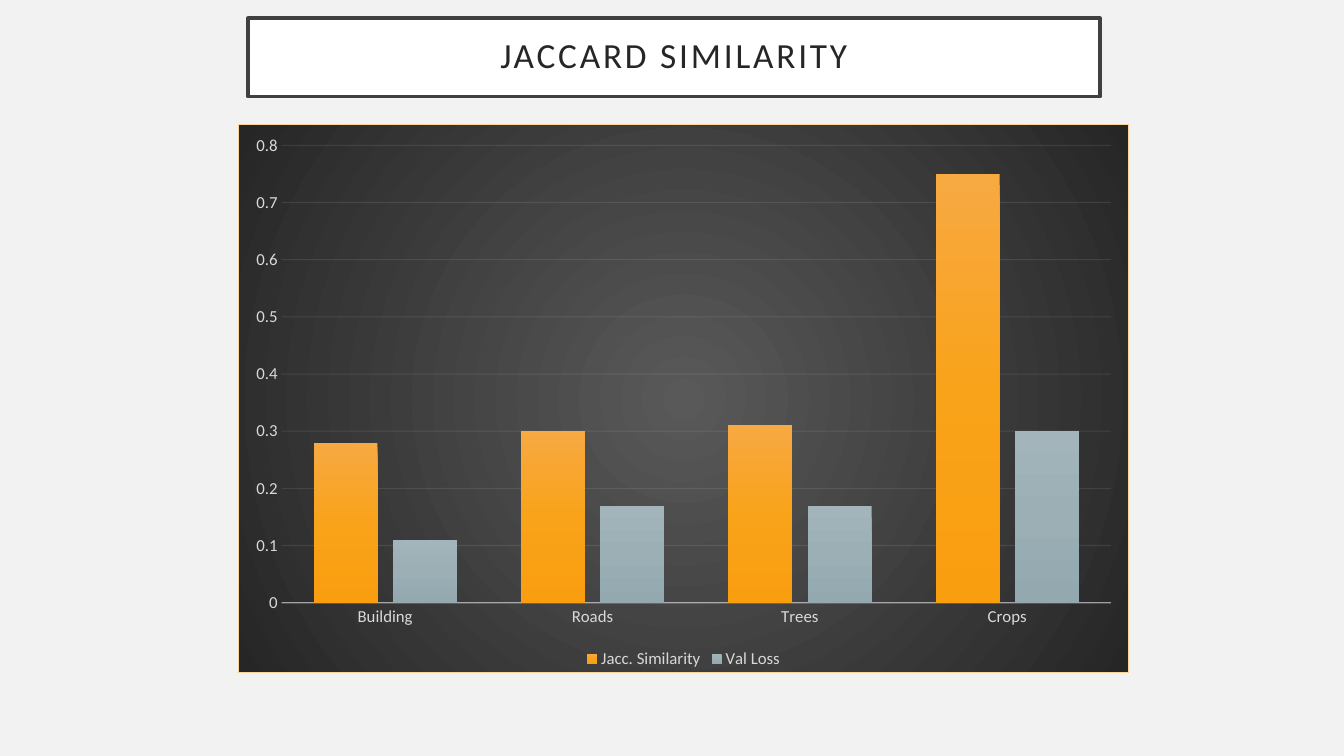
import lxml.etree
import pptx
import pptx.chart.data
import pptx.dml.color
import pptx.enum.chart
import pptx.enum.shapes
import pptx.enum.text
import pptx.oxml
import pptx.oxml.ns
import pptx.util
from pptx.util import Inches


def rgb(value):
    return pptx.dml.color.RGBColor.from_string(value)


def gradient(stops, direction):
    colors = "".join(
        f'<a:gs pos="{place * 1000}"><a:srgbClr val="{color}"/></a:gs>' for place, color in stops
    )
    return pptx.oxml.parse_xml(
        f'<a:gradFill {pptx.oxml.ns.nsdecls("a")} rotWithShape="1">'
        f"<a:gsLst>{colors}</a:gsLst>{direction}</a:gradFill>"
    )


class SlideBuilder:
    """Hold the shared style and the current slide, and draw its elements."""

    font = "Calibri"
    dark = "404040"
    ink = "262626"
    pale = "F2F2F2"
    label = "D9D9D9"
    downward = '<a:lin ang="5400000" scaled="0"/>'
    radial = '<a:path path="circle"><a:fillToRect l="50000" t="50000" r="50000" b="50000"/></a:path>'

    def __init__(self, deck):
        self.slide = deck.slides.add_slide(deck.slide_layouts[6])
        self.slide.background.fill.solid()
        self.slide.background.fill.fore_color.rgb = rgb(self.pale)

    def style_font(self, font, size, color):
        font.name = self.font
        font.size = pptx.util.Pt(size)
        font.color.rgb = rgb(color)

    def style_line(self, line, color, width, opacity=100):
        line.color.rgb = rgb(color)
        line.width = pptx.util.Pt(width)
        if opacity < 100:
            tint = next(line._get_or_add_ln().iter(pptx.oxml.ns.qn("a:srgbClr")))
            alpha = lxml.etree.SubElement(tint, pptx.oxml.ns.qn("a:alpha"))
            alpha.set("val", str(opacity * 1000))

    def title(self, text, left, top, width, height):
        box = self.slide.shapes.add_shape(
            pptx.enum.shapes.MSO_SHAPE.RECTANGLE,
            Inches(left), Inches(top), Inches(width), Inches(height),
        )
        box.shadow.inherit = False
        box.fill.solid()
        box.fill.fore_color.rgb = rgb("FFFFFF")
        self.style_line(box.line, self.dark, 2.5)
        frame = box.text_frame
        frame.text = text
        frame.word_wrap = True
        frame.vertical_anchor = pptx.enum.text.MSO_ANCHOR.MIDDLE
        frame.margin_left = frame.margin_right = Inches(0.2)
        frame.margin_top = frame.margin_bottom = Inches(0.2)
        para = frame.paragraphs[0]
        para.alignment = pptx.enum.text.PP_ALIGN.CENTER
        para.line_spacing = 0.9
        span = para.runs[0]
        self.style_font(span.font, 25.2, self.ink)
        span.font._element.set("spc", "200")

    def column_chart(self, categories, series, left, top, width, height):
        data = pptx.chart.data.CategoryChartData()
        data.categories = categories
        for name, values, _ in series:
            data.add_series(name, values)
        chart = self.slide.shapes.add_chart(
            pptx.enum.chart.XL_CHART_TYPE.COLUMN_CLUSTERED,
            Inches(left), Inches(top), Inches(width), Inches(height), data,
        ).chart
        self.style_font(chart.font, 10, "000000")
        chart.has_title = False
        chart.has_legend = True
        chart.legend.position = pptx.enum.chart.XL_LEGEND_POSITION.BOTTOM
        chart.legend.include_in_layout = False
        self.style_font(chart.legend.font, 12, self.label)

        plot = chart.plots[0]
        plot.gap_width = 100
        plot.overlap = -24
        plot.vary_by_categories = False
        for bars, (_, _, colors) in zip(plot.series, series):
            stops = zip((0, 50, 100), colors)
            bars.format.element.get_or_add_spPr().append(gradient(stops, self.downward))

        for axis in (chart.category_axis, chart.value_axis):
            axis.major_tick_mark = pptx.enum.chart.XL_TICK_MARK.NONE
            axis.minor_tick_mark = pptx.enum.chart.XL_TICK_MARK.NONE
            self.style_font(axis.tick_labels.font, 12, self.label)
        self.style_line(chart.category_axis.format.line, self.pale, 1, 54)
        values_axis = chart.value_axis
        values_axis.format.line.fill.background()
        values_axis.minimum_scale = 0
        values_axis.maximum_scale = 0.8
        values_axis.major_unit = 0.1
        self.style_line(values_axis.major_gridlines.format.line, self.pale, 0.75, 10)
        self.chart_area(chart)

    def chart_area(self, chart):
        area = pptx.oxml.parse_xml(
            f'<c:spPr {pptx.oxml.ns.nsdecls("c", "a")}><a:ln w="9525"><a:solidFill>'
            '<a:srgbClr val="FBD599"/></a:solidFill></a:ln></c:spPr>'
        )
        area.insert(0, gradient([(0, "595959"), (100, self.ink)], self.radial))
        chart.element.find(pptx.oxml.ns.qn("c:txPr")).addprevious(area)


def main():
    deck = pptx.Presentation()
    deck.slide_width = Inches(13.33)
    deck.slide_height = Inches(7.5)
    builder = SlideBuilder(deck)
    builder.title("JACCARD SIMILARITY", 2.46, 0.18, 8.45, 0.78)
    builder.column_chart(
        ["Building", "Roads", "Trees", "Crops"],
        [
            ("Jacc. Similarity", (0.28, 0.3, 0.31, 0.75), ("F7A942", "F9A31A", "F99E0F")),
            ("Val Loss", (0.11, 0.17, 0.17, 0.3), ("A3B5BB", "9BAFB5", "93A9AF")),
        ],
        2.36, 1.23, 8.84, 5.45,
    )
    deck.save("out.pptx")


if __name__ == "__main__":
    main()
